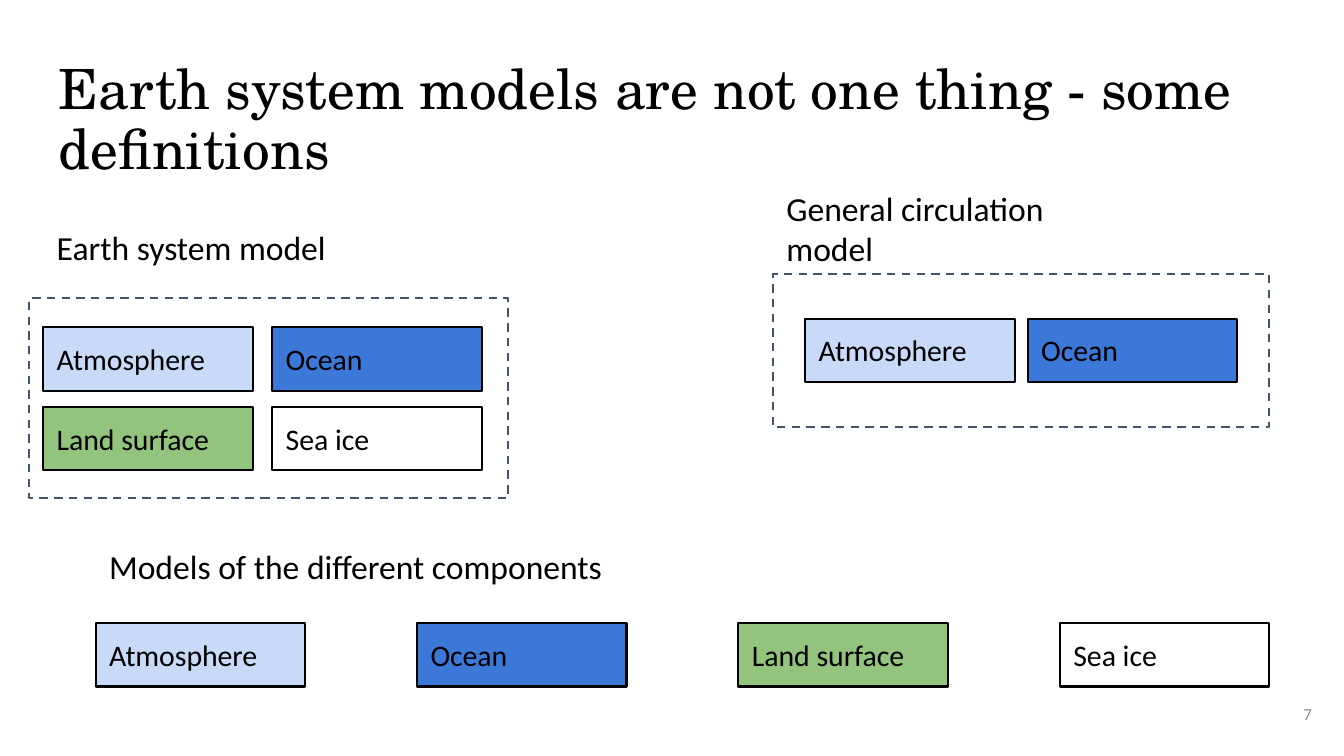
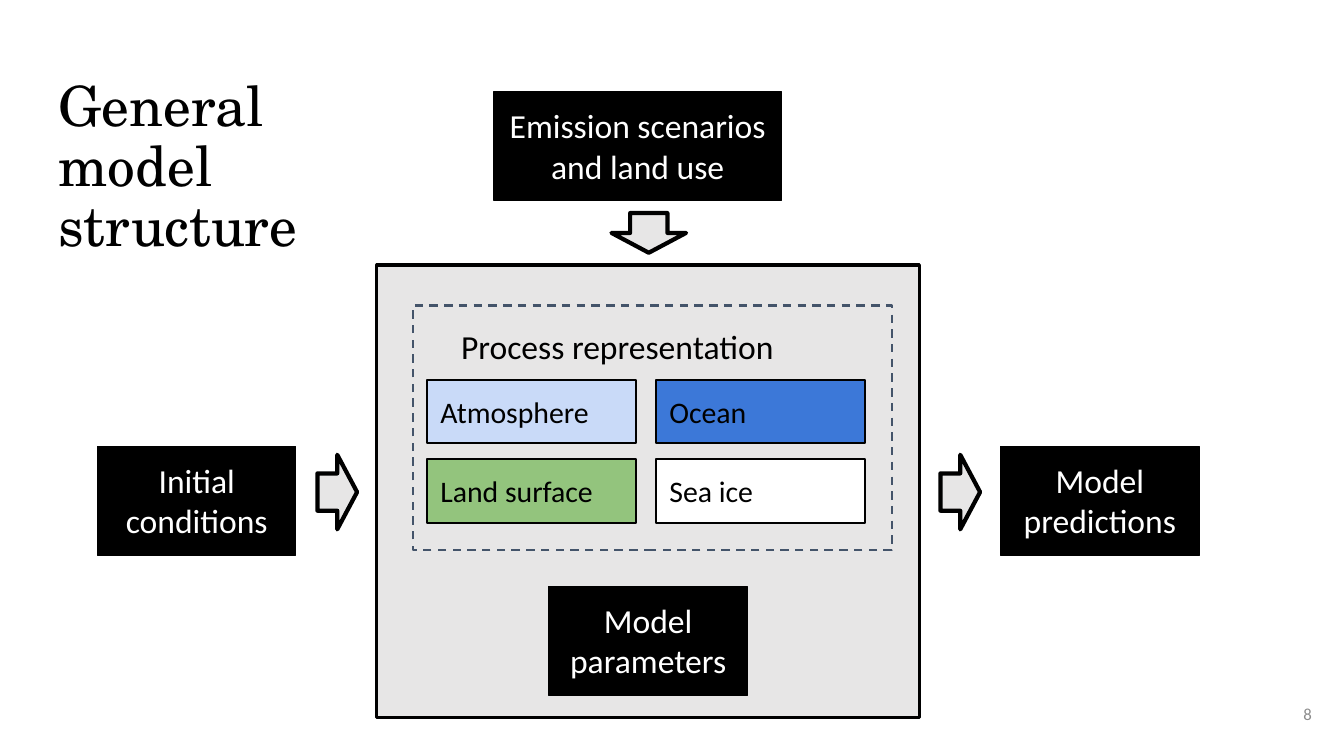
from dataclasses import dataclass

from pptx import Presentation
from pptx.dml.color import RGBColor as Rgb
from pptx.enum.dml import MSO_LINE_DASH_STYLE as Dash
from pptx.enum.shapes import MSO_AUTO_SHAPE_TYPE as Preset
from pptx.enum.text import MSO_ANCHOR as Anchor
from pptx.enum.text import MSO_AUTO_SIZE as Fit
from pptx.enum.text import PP_ALIGN as Align
from pptx.util import Cm, Pt


@dataclass(frozen=True)
class Theme:
    black: str = "000000"
    white: str = "FFFFFF"
    panel: str = "E7E6E6"
    frame: str = "44546A"
    number: str = "8C8C8C"
    heading_font: str = "TeX Gyre Schola"
    body_font: str = "Calibri"
    title_size: float = 39.6
    label_size: float = 24
    component_size: float = 21.3
    number_size: float = 12
    inset: float = 0.34


@dataclass(frozen=True)
class Box:
    left: float
    top: float
    width: float
    height: float

    def within(self, left, top, width, height):
        return Box(self.left + left, self.top + top, width, height)

    def lengths(self):
        return [Cm(n) for n in (self.left, self.top, self.width, self.height)]


THEME = Theme()
PAGE = Box(0, 0, 33.87, 19.05)
COMPONENTS = {
    "Atmosphere": "C9DAF8",
    "Ocean": "3C78D8",
    "Land surface": "93C47D",
    "Sea ice": THEME.white,
}
COMPONENT_WIDTH, COMPONENT_HEIGHT = 5.28, 1.6
ROW_PITCH = 2


def apply(target, formats):
    for name, value in formats.items():
        setattr(target, name, value)


def write(shape, text, size, color=THEME.black, font=THEME.body_font,
          align=Align.LEFT, anchor=Anchor.TOP, fit=Fit.SHAPE_TO_FIT_TEXT,
          spacing=1.0):
    inset = Cm(THEME.inset)
    apply(shape.text_frame, {
        "text": text, "word_wrap": True, "auto_size": fit,
        "vertical_anchor": anchor, "margin_left": inset,
        "margin_right": inset, "margin_top": inset, "margin_bottom": inset,
    })
    paragraph = shape.text_frame.paragraphs[0]
    apply(paragraph, {"alignment": align, "line_spacing": spacing})
    apply(paragraph.font, {"name": font, "size": Pt(size)})
    paragraph.font.color.rgb = Rgb.from_string(color)


def draw(slide, box, fill=None, line=THEME.black, weight=1.5, dash=None,
         preset=Preset.RECTANGLE):
    shape = slide.shapes.add_shape(preset, *box.lengths())
    shape.shadow.inherit = False
    if fill:
        shape.fill.solid()
        shape.fill.fore_color.rgb = Rgb.from_string(fill)
    else:
        shape.fill.background()
    shape.line.color.rgb = Rgb.from_string(line)
    apply(shape.line, {"width": Pt(weight), "dash_style": dash})
    return shape


def label(slide, box, text):
    write(slide.shapes.add_textbox(*box.lengths()), text, THEME.label_size)


def component_grid(slide, box, names, columns, pitch):
    for index, name in enumerate(names):
        row, column = divmod(index, columns)
        cell = box.within(column * pitch, row * ROW_PITCH,
                          COMPONENT_WIDTH, COMPONENT_HEIGHT)
        write(draw(slide, cell, COMPONENTS[name]), name, THEME.component_size)


def dashed_frame(slide, box):
    draw(slide, box, line=THEME.frame, dash=Dash.DASH)


def earth_system(slide, box):
    dashed_frame(slide, box)
    grid = box.within(0.35, box.height - 4.3, 11.05, 3.6)
    component_grid(slide, grid, COMPONENTS, 2, 5.77)


def general_circulation(slide, box):
    label(slide, box.within(0, 0, 8.56, 2.74), "General circulation model")
    frame = box.within(0, 2.52, box.width, box.height - 2.52)
    dashed_frame(slide, frame)
    grid = frame.within(0.81, 1.12, 10.89, 1.6)
    component_grid(slide, grid, ["Atmosphere", "Ocean"], 2, 5.61)


def separate_models(slide, box):
    label(slide, box.within(0, 0, 13.94, 1.7),
          "Models of the different components")
    component_grid(slide, box.within(0, 2.29, box.width, 1.6),
                   COMPONENTS, len(COMPONENTS), 8.1)


def factor(slide, box, text):
    write(draw(slide, box, THEME.black, weight=0.75), text,
          THEME.label_size, THEME.white, align=Align.CENTER)


def flow_arrow(slide, box, rotation=0):
    arrow = draw(slide, box, THEME.panel, weight=3, preset=Preset.RIGHT_ARROW)
    arrow.rotation = rotation


def model_panel(slide, box):
    draw(slide, box, THEME.panel, weight=2.25)
    earth_system(slide, box.within(0.91, 1.02, 12.06, 6.17))
    label(slide, box.within(1.78, 1.19, 10.13, 1.7), "Process representation")
    factor(slide, box.within((box.width - 5) / 2, 8.1, 5, 2.74),
           "Model parameters")


def new_slide(deck, title, title_box, number):
    slide = deck.slides.add_slide(deck.slide_layouts[5])
    heading = slide.shapes.title
    apply(heading, dict(zip(("left", "top", "width", "height"),
                            title_box.lengths())))
    write(heading, title, THEME.title_size, font=THEME.heading_font,
          fit=Fit.NONE, spacing=0.9)
    number_box = PAGE.within(31.37, 17.27, 2.03, 1.45)
    write(slide.shapes.add_textbox(*number_box.lengths()), str(number),
          THEME.number_size, THEME.number, align=Align.RIGHT,
          anchor=Anchor.MIDDLE, fit=Fit.NONE)
    return slide


def definitions_slide(deck, page):
    slide = new_slide(
        deck, "Earth system models are not one thing - some definitions",
        page.within(1.14, 1.22, 31.55, 2.13), 7)
    label(slide, page.within(1.09, 5.38, 8.64, 1.7), "Earth system model")
    earth_system(slide, page.within(0.74, 7.52, 12.06, 5.03))
    general_circulation(slide, page.within(19.48, 4.39, 12.5, 6.38))
    separate_models(slide, page.within(2.41, 13.41, 29.58, 3.89))


def structure_slide(deck, page):
    slide = new_slide(deck, "General model structure",
                      page.within(1.14, 1.65, 9.63, 3.4), 8)
    model_panel(slide, page.within(9.5, 6.68, 13.67, 11.4))
    for text, left, top, width in (
        ("Initial conditions", 2.46, 11.25, 5),
        ("Emission scenarios and land use", 12.45, 2.31, 7.24),
        ("Model predictions", 25.22, 11.25, 5),
    ):
        factor(slide, page.within(left, top, width, 2.74), text)
    for left, top, rotation in ((8, 11.46, 0), (23.7, 11.46, 0),
                                (15.85, 4.93, 90)):
        flow_arrow(slide, page.within(left, top, 1, 1.88), rotation)


def main():
    deck = Presentation()
    apply(deck, {"slide_width": Cm(PAGE.width),
                 "slide_height": Cm(PAGE.height)})
    definitions_slide(deck, PAGE)
    structure_slide(deck, PAGE)
    deck.save("out.pptx")


if __name__ == "__main__":
    main()
